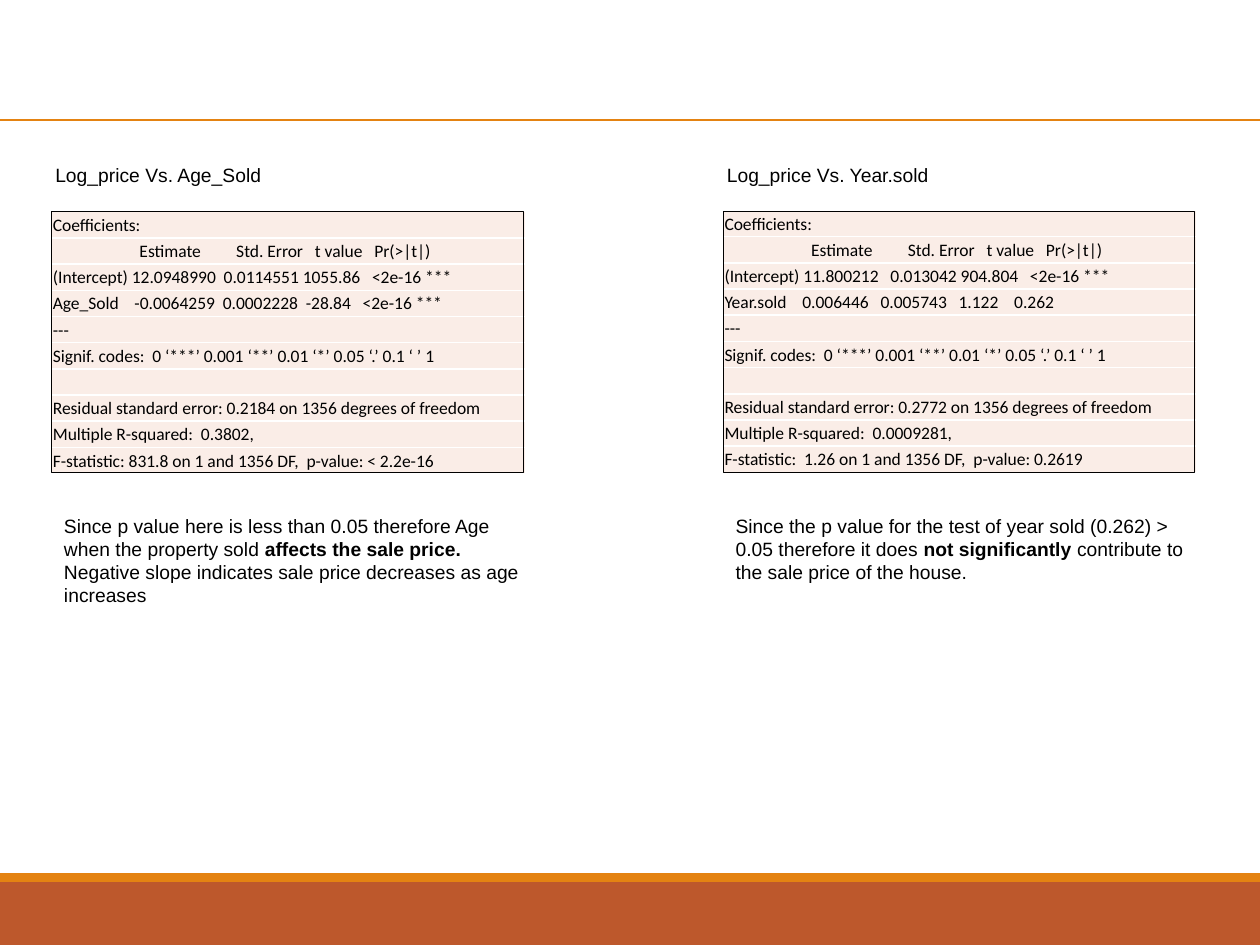
from pptx import Presentation
from pptx.util import Inches, Pt
from pptx.dml.color import RGBColor
from pptx.enum.shapes import MSO_CONNECTOR, MSO_SHAPE
from pptx.enum.text import MSO_ANCHOR
from pptx.oxml.ns import qn
from lxml.etree import SubElement

COLORS = {"text": "000000", "cell": "FAEDE7", "border": "FFFFFF",
          "accent": "E48312", "footer": "BD582C"}
HEADER = "                      Estimate         Std. Error   t value   Pr(>|t|)    "
SIGNIF = "Signif. codes:  0 ‘***’ 0.001 ‘**’ 0.01 ‘*’ 0.05 ‘.’ 0.1 ‘ ’ 1"

# Each note is a list of (text, bold) runs.
MODELS = [
    {"heading": "Log_price Vs. Age_Sold",
     "top": 1.68,
     "rows": ["Coefficients:", HEADER,
              "(Intercept) 12.0948990  0.0114551 1055.86   <2e-16 ***",
              "Age_Sold    -0.0064259  0.0002228  -28.84   <2e-16 ***",
              "---", SIGNIF, "",
              "Residual standard error: 0.2184 on 1356 degrees of freedom",
              "Multiple R-squared:  0.3802,",
              "F-statistic: 831.8 on 1 and 1356 DF,  p-value: < 2.2e-16"],
     "note": [("Since p value here is less than 0.05 therefore Age when the "
               "property sold ", False),
              ("affects the sale price. ", True),
              ("Negative slope indicates sale price decreases as age increases",
               False)]},
    {"heading": "Log_price Vs. Year.sold",
     "top": 1.67,
     "rows": ["Coefficients:", HEADER,
              "(Intercept) 11.800212   0.013042 904.804   <2e-16 ***",
              "Year.sold    0.006446   0.005743   1.122    0.262    ",
              "---", SIGNIF, "",
              "Residual standard error: 0.2772 on 1356 degrees of freedom",
              "Multiple R-squared:  0.0009281,",
              "F-statistic:  1.26 on 1 and 1356 DF,  p-value: 0.2619"],
     "note": [("Since the p value for the test of year sold (0.262) > 0.05 "
               "therefore it does ", False),
              ("not significantly ", True),
              ("contribute to the sale price of the house.", False)]},
]
LEFT, COLUMN_STEP = 0.41, 5.33
TABLE_W, TABLE_H = 3.76, 2.08


def rgb(name):
    """Return a palette colour."""
    return RGBColor.from_string(COLORS[name])


def style(font, size, name):
    """Set size, typeface and text colour of a font."""
    font.size, font.name = Pt(size), name
    font.color.rgb = rgb("text")


def add_rect(s, x, y, w, h, fill=None, line=None):
    """Add a plain rectangle with an optional fill or thin outline."""
    sp = s.shapes.add_shape(MSO_SHAPE.RECTANGLE, *map(Inches, (x, y, w, h)))
    sp.shadow.inherit = False
    if fill:
        sp.fill.solid()
        sp.fill.fore_color.rgb = rgb(fill)
    else:
        sp.fill.background()
    if line:
        sp.line.color.rgb = rgb(line)
        sp.line.width = Pt(0.25)
    else:
        sp.line.fill.background()


def add_text(s, x, y, w, h, runs):
    """Add a wrapped text box made of (text, bold) runs."""
    tf = s.shapes.add_textbox(*map(Inches, (x, y, w, h))).text_frame
    tf.word_wrap = True
    p = tf.paragraphs[0]
    style(p.font, 11, "Arial")
    for text, bold in runs:
        r = p.add_run()
        r.text, r.font.bold = text, bold


def set_borders(cell):
    """Draw a thin border on all four sides of a cell."""
    tcPr = cell._tc.get_or_add_tcPr()
    for i, side in enumerate(("lnL", "lnR", "lnT", "lnB")):
        ln = tcPr.makeelement(qn("a:" + side), {"w": str(Pt(1))})
        fill = SubElement(ln, qn("a:solidFill"))
        SubElement(fill, qn("a:srgbClr"), val=COLORS["border"])
        tcPr.insert(i, ln)


def add_summary(s, x, y, rows):
    """Add the regression summary as a one-column table."""
    table = s.shapes.add_table(len(rows), 1, *map(
        Inches, (x, y, TABLE_W, TABLE_H))).table
    table.first_row = table.horz_banding = False
    for i, text in enumerate(rows):
        table.rows[i].height = Inches(TABLE_H / len(rows))
        cell = table.cell(i, 0)
        cell.fill.solid()
        cell.fill.fore_color.rgb = rgb("cell")
        cell.vertical_anchor = MSO_ANCHOR.MIDDLE
        cell.margin_left = cell.margin_right = cell.margin_top = Inches(0.01)
        cell.margin_bottom = 0
        set_borders(cell)
        p = cell.text_frame.paragraphs[0]
        style(p.font, 10, "Calibri")
        if text:
            p.add_run().text = text
        else:
            SubElement(p._p, qn("a:endParaRPr"), sz="1000")


prs = Presentation()
prs.slide_width, prs.slide_height = Inches(10), Inches(7.5)
s = prs.slides.add_slide(prs.slide_layouts[6])

add_rect(s, 0, 7, 10, 0.5, fill="footer")
add_rect(s, 0, 6.93, 10, 0.07, fill="accent")
rule = s.shapes.add_connector(MSO_CONNECTOR.STRAIGHT, 0, Inches(0.95),
                              Inches(10.02), Inches(0.95))
rule.line.color.rgb = rgb("accent")
rule.line.width = Pt(1.25)
SubElement(rule._element.spPr, qn("a:effectLst"))

for i, model in enumerate(MODELS):
    x = LEFT + i * COLUMN_STEP
    add_text(s, x - 0.07, 1.25, 3.12, 0.29, [(model["heading"], False)])
    add_summary(s, x, model["top"], model["rows"])
    add_rect(s, x, 1.68, 3.74, 2.07, line="text")
    add_text(s, x, 4.03, 3.84, 0.84, model["note"])

prs.save("out.pptx")
